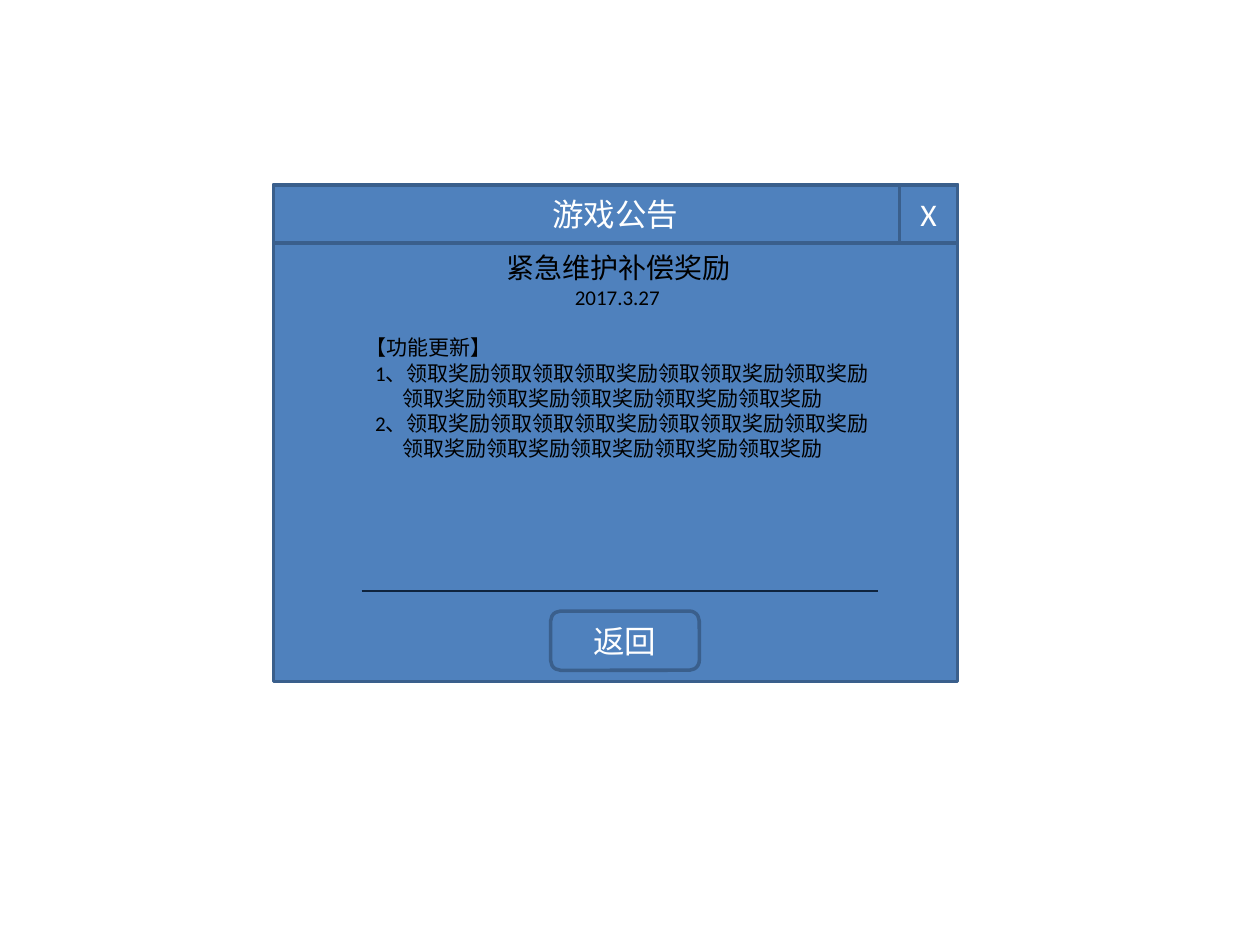
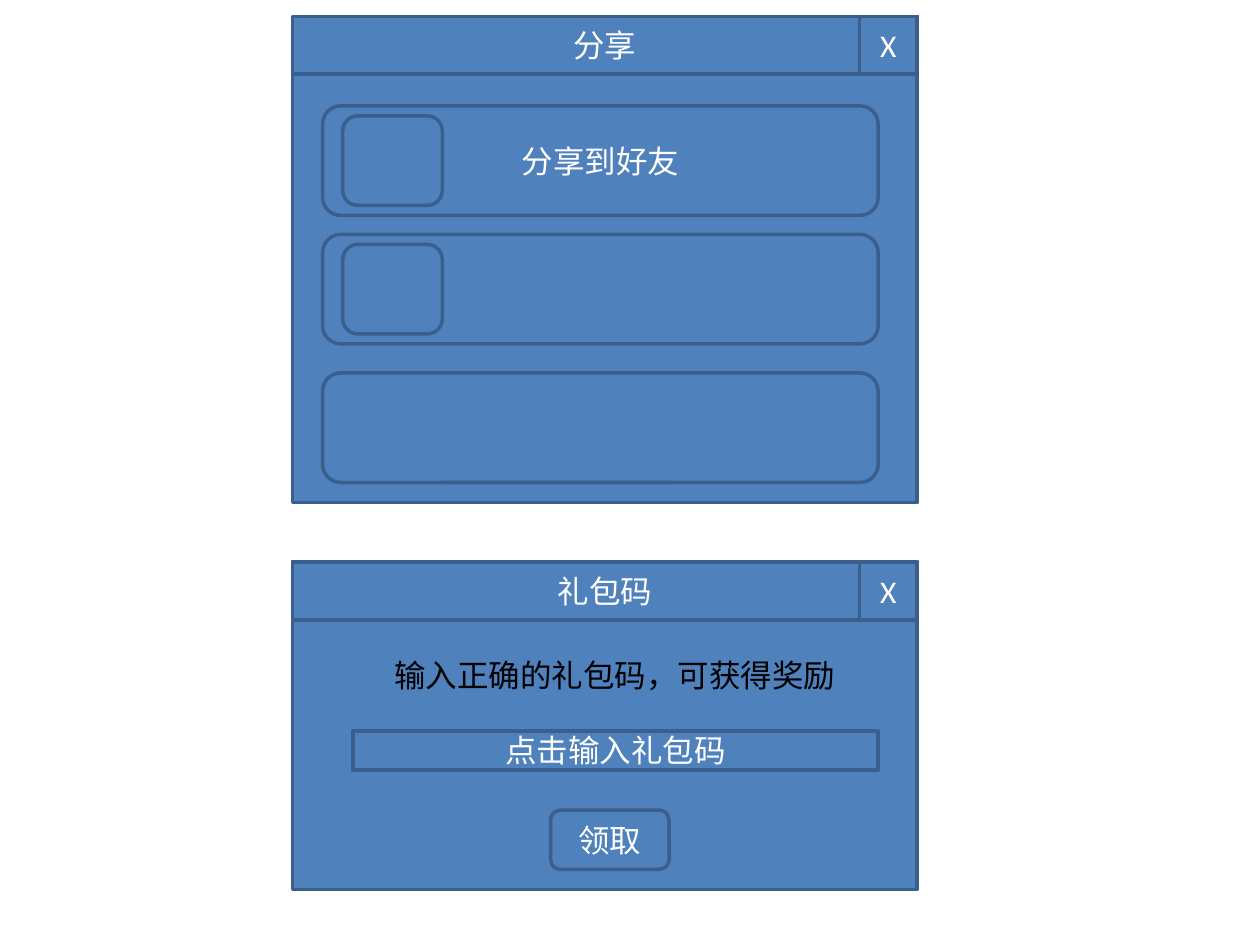
from dataclasses import dataclass

from lxml import etree
from pptx import Presentation
from pptx import util as u
from pptx.dml.color import RGBColor
from pptx.enum import shapes, text
from pptx.oxml.ns import qn

COLORS = {"panel": "4F81BD", "edge": "3A5F8C", "rule": "0F243E",
          "light": "FFFFFF", "ink": "000000"}
FONT = "Calibri"
BAR = 0.46  # height of a title bar and side of its close button
RECT = shapes.MSO_SHAPE.RECTANGLE
ROUND = shapes.MSO_SHAPE.ROUNDED_RECTANGLE


@dataclass
class Box:
    left: float
    top: float
    width: float
    height: float
    label: str = ""
    outline: shapes.MSO_SHAPE = RECT

    def place(self) -> list[u.Length]:
        return [u.Inches(v) for v in (self.left, self.top, self.width, self.height)]


@dataclass
class Line:
    wording: str
    size: float
    indent: float = 0
    centred: bool = False
    before: float = 0


def color(name: str) -> RGBColor:
    return RGBColor.from_string(COLORS[name])


def style(paragraph, size: float, ink: str) -> None:
    paragraph.font.name = FONT
    paragraph.font.size = u.Pt(size)
    paragraph.font.color.rgb = color(ink)


def draw_box(slide, box: Box) -> None:
    shape = slide.shapes.add_shape(box.outline, *box.place())
    shape.shadow.inherit = False
    shape.fill.solid()
    shape.fill.fore_color.rgb = color("panel")
    shape.line.color.rgb = color("edge")
    shape.line.width = u.Pt(2)
    if box.label:
        frame = shape.text_frame
        frame.text = box.label
        frame.vertical_anchor = text.MSO_ANCHOR.MIDDLE
        frame.paragraphs[0].alignment = text.PP_ALIGN.CENTER
        style(frame.paragraphs[0], 18, "light")


def draw_window(slide, window: Box) -> None:
    """Window body, title bar and close button."""
    left, top, width = window.left, window.top, window.width
    draw_box(slide, Box(left, top, width, window.height))
    draw_box(slide, Box(left, top, width, BAR, window.label))
    draw_box(slide, Box(left + width - BAR, top, BAR, BAR, "X"))


def draw_text(slide, box: Box, lines: list[Line]) -> None:
    frame = slide.shapes.add_textbox(*box.place()).text_frame
    frame.word_wrap = True
    frame.auto_size = text.MSO_AUTO_SIZE.SHAPE_TO_FIT_TEXT
    for number, line in enumerate(lines):
        paragraph = frame.add_paragraph() if number else frame.paragraphs[0]
        paragraph.text = line.wording
        if line.indent:
            paragraph._p.get_or_add_pPr().set("marL", str(u.Inches(line.indent)))
        if line.centred:
            paragraph.alignment = text.PP_ALIGN.CENTER
        if line.before:
            paragraph.space_before = u.Pt(line.before)
        style(paragraph, line.size, "ink")


def draw_rule(slide, left: float, right: float, top: float) -> None:
    rule = slide.shapes.add_connector(
        shapes.MSO_CONNECTOR.STRAIGHT,
        u.Inches(left), u.Inches(top), u.Inches(right), u.Inches(top))
    rule.line.color.rgb = color("rule")
    rule.line.width = u.Pt(1.5)
    etree.SubElement(rule._element.spPr, qn("a:effectLst"))


def build_notice(slide) -> None:
    draw_window(slide, Box(2.17, 1.47, 5.43, 3.94, "游戏公告"))
    notice = [
        Line("紧急维护补偿奖励", 16, 0.52, centred=True),
        Line("2017.3.27", 12, 0.5, centred=True),
        Line("【功能更新】", 12, 0.63, before=14.5),
    ]
    for number in (1, 2):
        notice += [
            Line(f"{number}、领取奖励领取领取领取奖励领取领取奖励领取奖励", 12, 0.71),
            Line("领取奖励" * 5, 12, 0.93),
        ]
    draw_text(slide, Box(2.17, 1.94, 4.96, 2.19), notice)
    draw_rule(slide, 2.87, 6.97, 4.69)
    draw_box(slide, Box(4.37, 4.85, 1.18, 0.47, "返回", ROUND))


def build_share_and_code(slide) -> None:
    # Share window: three option rows, the first two with an icon
    draw_window(slide, Box(2.32, 0.13, 4.96, 3.86, "分享"))
    options = [(0.84, "分享到好友", True), (1.86, "", True), (2.96, "", False)]
    for top, label, has_icon in options:
        draw_box(slide, Box(2.56, top, 4.41, 0.87, label, ROUND))
        if has_icon:
            draw_box(slide, Box(2.72, top + 0.08, 0.79, 0.71, outline=ROUND))

    # Gift code window
    draw_window(slide, Box(2.32, 4.46, 4.96, 2.6, "礼包码"))
    draw_box(slide, Box(2.8, 5.8, 4.17, 0.31, "点击输入礼包码"))
    draw_box(slide, Box(4.37, 6.43, 0.94, 0.47, "领取", ROUND))
    draw_text(slide, Box(3.03, 5.16, 4.57, 0.4),
              [Line("输入正确的礼包码，可获得奖励", 18)])


def main() -> None:
    deck = Presentation()
    deck.slide_width, deck.slide_height = u.Inches(10), u.Inches(7.5)
    for build in (build_notice, build_share_and_code):
        build(deck.slides.add_slide(deck.slide_layouts[6]))
    deck.save("out.pptx")


if __name__ == "__main__":
    main()
